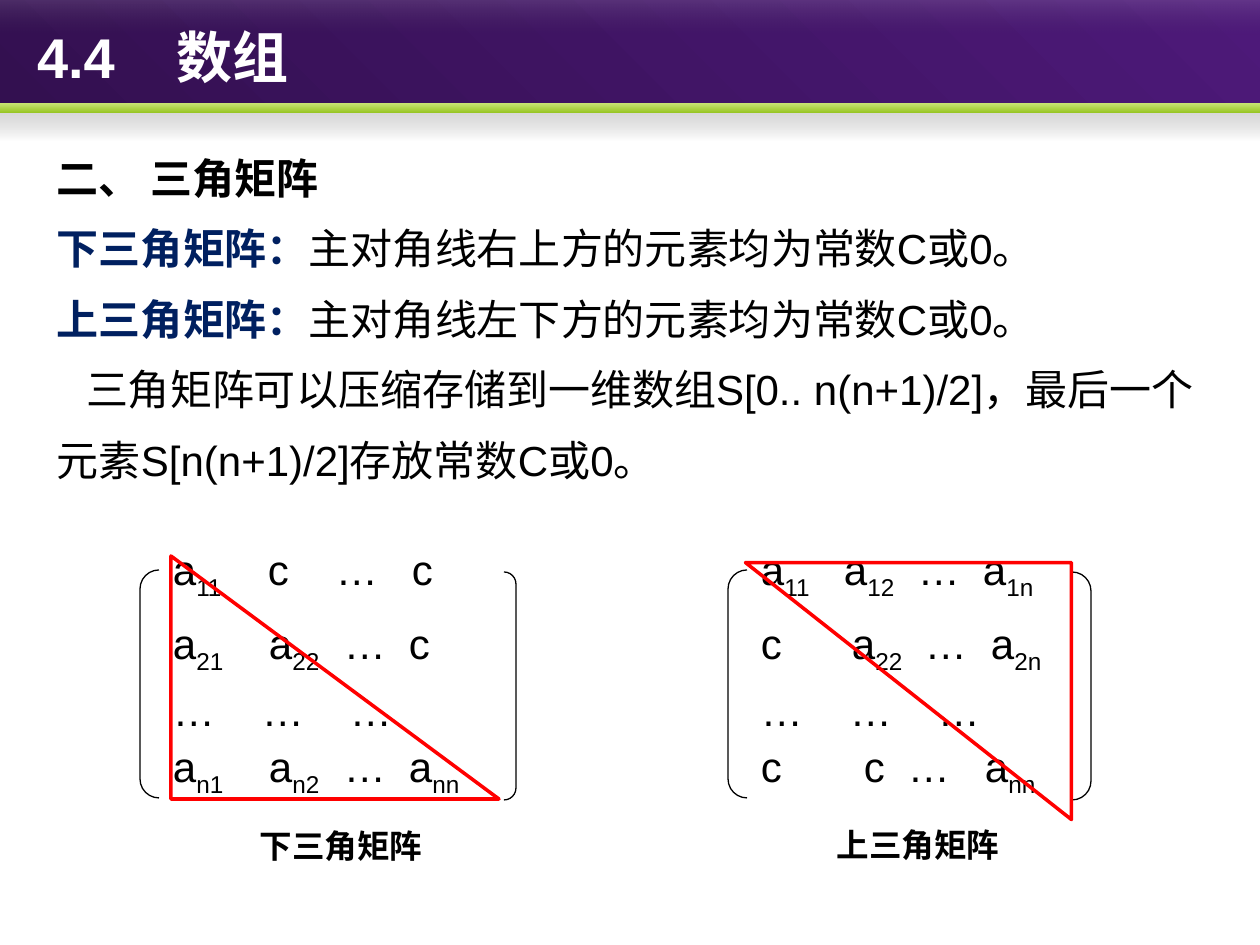
"""Build the slide on triangular matrices."""
from dataclasses import dataclass
from typing import Optional

from lxml.etree import SubElement
from pptx import Presentation
from pptx.dml.color import RGBColor
from pptx.enum.shapes import MSO_SHAPE
from pptx.enum.text import MSO_ANCHOR, MSO_AUTO_SIZE, PP_ALIGN
from pptx.oxml.ns import qn
from pptx.util import Pt

PX = 914400 / 126
COLORS = {
    "white": "FFFFFF", "black": "000000", "navy": "002060", "red": "FF0000",
    "plum": "331050", "violet": "4D1979", "lime": "C9E576", "green": "97C523",
    "charcoal": "3B3B3B", "gray": "808080", "silver": "767676",
}


@dataclass(frozen=True)
class Area:
    left: int
    top: int
    width: int
    height: int

    def emu(self) -> list[int]:
        return [round(side * PX) for side in (self.left, self.top, self.width, self.height)]


@dataclass(frozen=True)
class Band:
    area: Area
    colors: tuple[str, str]
    angle: int
    opacities: tuple[int, int] = (100, 100)


@dataclass(frozen=True)
class Row:
    area: Area
    cells: tuple[str, ...]
    stops: tuple[int, ...]


@dataclass(frozen=True)
class Matrix:
    rows: tuple[Row, ...]
    brackets: tuple[Area, Area]
    triangle: Area
    turned: bool
    caption: str
    caption_area: Area


def rgb(name: str) -> RGBColor:
    return RGBColor.from_string(COLORS[name])


def add_span(para, text: str, size: float = 24, color: str = "black",
             bold: bool = False, subscript: bool = False) -> None:
    span = para.add_run()
    span.text = text
    span.font.size = Pt(size)
    span.font.bold = bold
    span.font.name = "Arial"
    span.font.color.rgb = rgb(color)
    properties = span.font._element
    SubElement(properties, qn("a:ea"), typeface="Noto Sans CJK SC")
    if subscript:
        properties.set("baseline", "-25000")


def set_stops(para, stops: tuple[int, ...]) -> None:
    tabs = SubElement(para._p.get_or_add_pPr(), qn("a:tabLst"))
    for stop in stops:
        SubElement(tabs, qn("a:tab"), pos=str(round(stop * PX)), algn="l")


def prepare_frame(box, anchor: MSO_ANCHOR = MSO_ANCHOR.MIDDLE, wrap: bool = True):
    frame = box.text_frame
    frame.auto_size = MSO_AUTO_SIZE.NONE
    frame.margin_left = frame.margin_right = frame.margin_top = frame.margin_bottom = 0
    frame.vertical_anchor = anchor
    frame.word_wrap = wrap
    return frame


def place(box, area: Area) -> None:
    box.left, box.top, box.width, box.height = area.emu()


def add_band(page, band: Band) -> None:
    shape = page.shapes.add_shape(MSO_SHAPE.RECTANGLE, *band.area.emu())
    shape.shadow.inherit = False
    shape.line.fill.background()
    shape.fill.gradient()
    shape.fill.gradient_angle = (360 - band.angle) % 360
    for index, stop in enumerate(shape.fill.gradient_stops):
        stop.position = index
        stop.color.rgb = rgb(band.colors[index])
        if band.opacities[index] < 100:
            color = shape._element.spPr.findall(".//" + qn("a:srgbClr"))[index]
            SubElement(color, qn("a:alpha"), val=str(band.opacities[index] * 1000))


def add_outline(page, kind: MSO_SHAPE, area: Area, color: str, weight: float, adjust: float):
    shape = page.shapes.add_shape(kind, *area.emu())
    shape.shadow.inherit = False
    shape.fill.background()
    shape.line.color.rgb = rgb(color)
    shape.line.width = Pt(weight)
    shape.adjustments[0] = adjust
    return shape


def add_row(page, row: Row) -> None:
    para = prepare_frame(page.shapes.add_textbox(*row.area.emu())).paragraphs[0]
    set_stops(para, row.stops)
    for index, cell in enumerate(row.cells):
        base, _, subscript = cell.partition("_")
        add_span(para, "\t" * (index > 0) + base)
        if subscript:
            add_span(para, subscript, subscript=True)


def add_matrix(page, matrix: Matrix) -> None:
    for kind, area in zip((MSO_SHAPE.LEFT_BRACKET, MSO_SHAPE.RIGHT_BRACKET), matrix.brackets):
        add_outline(page, kind, area, "black", 0.75, 1)
    for row in matrix.rows:
        add_row(page, row)
    caption = page.shapes.add_textbox(*matrix.caption_area.emu())
    para = prepare_frame(caption).paragraphs[0]
    para.alignment = PP_ALIGN.CENTER
    add_span(para, matrix.caption, size=18.6, bold=True)
    triangle = add_outline(page, MSO_SHAPE.ISOSCELES_TRIANGLE, matrix.triangle, "red", 2, 0)
    if matrix.turned:
        triangle.rotation = 90
        triangle._element.spPr.find(qn("a:xfrm")).set("flipV", "1")


def fill_title(title) -> None:
    place(title, Area(37, 0, 1210, 113))
    para = prepare_frame(title).paragraphs[0]
    para.alignment = PP_ALIGN.LEFT
    set_stops(para, (139,))
    add_span(para, "4.4\t数组", size=32, color="white", bold=True)


def fill_body(body) -> None:
    place(body, Area(57, 152, 1147, 350))
    frame = prepare_frame(body, anchor=MSO_ANCHOR.TOP)
    lines = (
        ("二、 三角矩阵", "", "black", 0),
        ("下三角矩阵：", "主对角线右上方的元素均为常数C或0。", "navy", 0),
        ("上三角矩阵：", "主对角线左下方的元素均为常数C或0。", "navy", 0),
        ("", "三角矩阵可以压缩存储到一维数组S[0.. n(n+1)/2]，"
             "最后一个元素S[n(n+1)/2]存放常数C或0。", "black", 29),
    )
    for index, (term, text, color, indent) in enumerate(lines):
        para = frame.add_paragraph() if index else frame.paragraphs[0]
        properties = para._p.get_or_add_pPr()
        properties.set("marL", "0")
        properties.set("indent", str(round(indent * PX)))
        SubElement(properties, qn("a:buNone"))
        para.space_before = Pt(0)
        para.line_spacing = 1.4 if index else 1.0
        if term:
            add_span(para, term, color=color, bold=True)
        if text:
            add_span(para, text)


def make_rows(left: int, cells: tuple, stops: tuple) -> tuple[Row, ...]:
    tops = (548, 622, 685, 745)
    return tuple(Row(Area(left, top, 355, 49), *parts) for top, *parts in zip(tops, cells, stops))


def main() -> None:
    deck = Presentation()
    deck.slide_width, deck.slide_height = round(1260 * PX), round(945 * PX)
    page = deck.slides.add_slide(deck.slide_layouts[1])
    title, body = page.placeholders
    for band in (
        Band(Area(0, 0, 1260, 113), ("plum", "violet"), 315),
        Band(Area(0, 111, 1260, 30), ("charcoal", "gray"), 270, (0, 33)),
        Band(Area(0, 103, 1260, 10), ("lime", "green"), 90),
        Band(Area(0, 0, 1260, 35), ("white", "silver"), 90, (13, 0)),
    ):
        add_band(page, band)
    for placeholder in (title, body):
        page.shapes._spTree.append(placeholder._element)
    fill_title(title)
    fill_body(body)

    dots = ("…", "…", "…")
    lower = (("a_11", "c", "…", "c"), ("a_21", "a_22", "…", "c"), dots,
             ("a_n1", "a_n2", "…", "a_nn"))
    upper = (("a_11", "a_12", "…", "a_1n"), ("c", "a_22", "…", "a_2n"), dots,
             ("c", "c", "…", "a_nn"))
    lower_stops = ((95, 163, 239), (96, 171, 236), (89, 177), (96, 171, 236))
    upper_stops = ((83, 157, 222), (91, 164, 230), (89, 177), (103, 147, 224))
    for matrix in (
        Matrix(make_rows(173, lower, lower_stops),
               (Area(140, 570, 19, 228), Area(504, 572, 12, 228)),
               Area(171, 556, 328, 243), False, "下三角矩阵", Area(127, 819, 428, 53)),
        Matrix(make_rows(761, upper, upper_stops),
               (Area(728, 570, 19, 228), Area(1072, 572, 19, 228)),
               Area(780, 528, 257, 326), True, "上三角矩阵", Area(704, 818, 428, 53)),
    ):
        add_matrix(page, matrix)
    deck.save("out.pptx")


if __name__ == "__main__":
    main()
